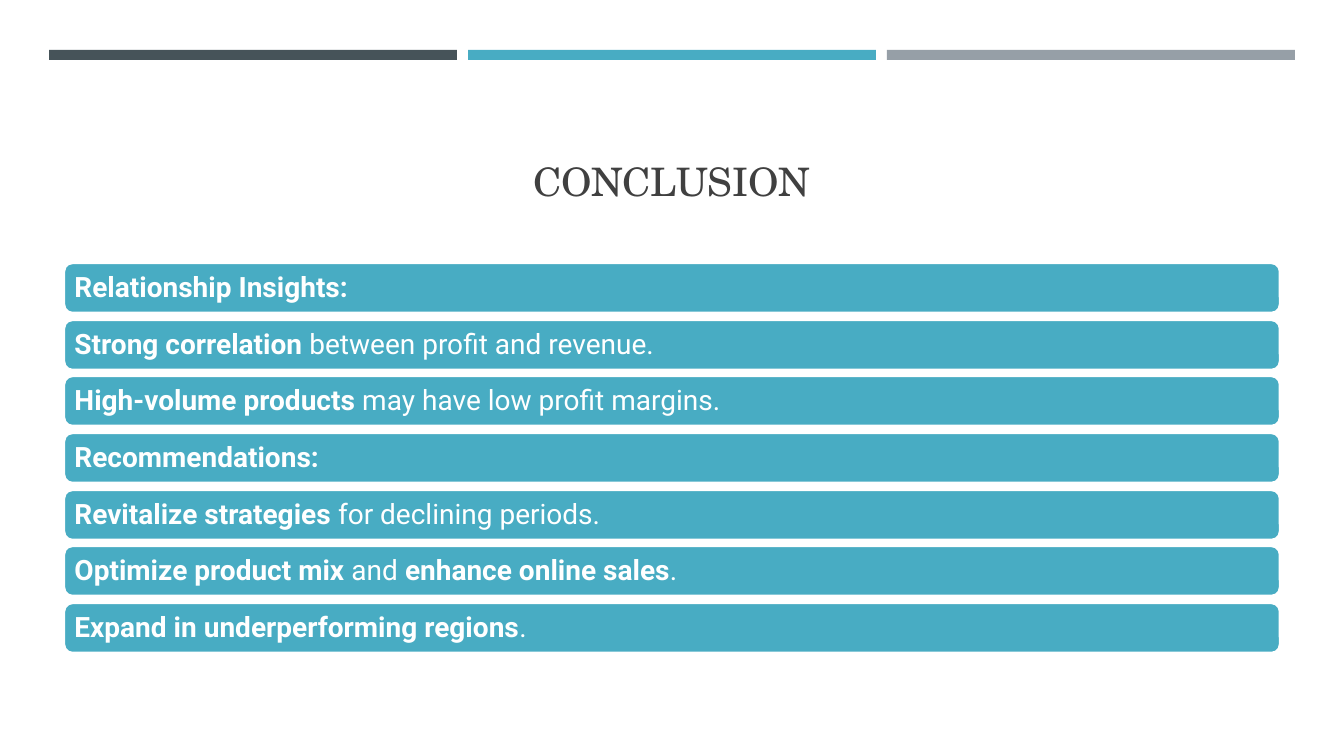
from dataclasses import dataclass

import pptx
import pptx.dml.color
import pptx.enum.shapes
import pptx.enum.text
import pptx.util

EMU_PER_PX = 914400 / 100.8
COLORS = {
    "slate": "465359",
    "teal": "48ACC3",
    "gray": "969FA7",
    "title": "404040",
    "white": "FFFFFF",
}
TITLE_FONT = "TeX Gyre Schola"
BODY_FONT = "Roboto"
SHAPES = pptx.enum.shapes.MSO_SHAPE
ANCHOR = pptx.enum.text.MSO_ANCHOR
ALIGN = pptx.enum.text.PP_ALIGN


@dataclass(frozen=True)
class Box:
    left: int
    top: int
    width: int
    height: int


@dataclass(frozen=True)
class Phrase:
    text: str
    bold: bool = False


BAR_COLORS = ["slate", "teal", "gray"]
BAR_PITCH = 419
ROWS = [
    [Phrase("Relationship Insights:", True)],
    [Phrase("Strong correlation", True), Phrase(" between profit and revenue.")],
    [Phrase("High-volume products", True), Phrase(" may have low profit margins.")],
    [Phrase("Recommendations:", True)],
    [Phrase("Revitalize strategies", True), Phrase(" for declining periods.")],
    [
        Phrase("Optimize product mix", True),
        Phrase(" and "),
        Phrase("enhance online sales", True),
        Phrase("."),
    ],
    [Phrase("Expand in underperforming regions", True), Phrase(".")],
]
FIRST_ROW_TOP = 263
LAST_ROW_TOP = 603


def px(n: int) -> int:
    return pptx.util.Emu(round(n * EMU_PER_PX))


def rgb(name: str) -> pptx.dml.color.RGBColor:
    return pptx.dml.color.RGBColor.from_string(COLORS[name])


def place(sp, box: Box) -> None:
    sp.left, sp.top = px(box.left), px(box.top)
    sp.width, sp.height = px(box.width), px(box.height)


def format_run(r, font: str, size: int, color: str, bold: bool) -> None:
    r.font.name = font
    r.font.size = pptx.util.Pt(size)
    r.font.bold = bold
    r.font.color.rgb = rgb(color)


def add_filled(slide, kind, box: Box, color: str):
    sp = slide.shapes.add_shape(
        kind, px(box.left), px(box.top), px(box.width), px(box.height)
    )
    sp.shadow.inherit = False
    sp.fill.solid()
    sp.fill.fore_color.rgb = rgb(color)
    sp.line.fill.background()
    return sp


def add_title(slide, text: str) -> None:
    title = slide.shapes.title
    place(title, Box(64, 78, 1216, 131))
    tf = title.text_frame
    tf.text = text
    tf.vertical_anchor = ANCHOR.BOTTOM
    p = tf.paragraphs[0]
    p.alignment = ALIGN.CENTER
    format_run(p.runs[0], TITLE_FONT, 28, "title", False)


def add_row(slide, top: int, phrases: list[Phrase]) -> None:
    sp = add_filled(slide, SHAPES.ROUNDED_RECTANGLE, Box(64, top, 1216, 50), "teal")
    sp.line.color.rgb = rgb("white")
    sp.line.width = pptx.util.Pt(1.75)
    tf = sp.text_frame
    tf.word_wrap = True
    tf.vertical_anchor = ANCHOR.MIDDLE
    tf.margin_left = tf.margin_right = px(8)
    tf.margin_top = tf.margin_bottom = 0
    p = tf.paragraphs[0]
    p.alignment = ALIGN.LEFT
    p.line_spacing = 0.9
    for phrase in phrases:
        r = p.add_run()
        r.text = phrase.text
        format_run(r, BODY_FONT, 20, "white", phrase.bold)


def main() -> None:
    prs = pptx.Presentation()
    prs.slide_width, prs.slide_height = px(1344), px(756)
    slide = prs.slides.add_slide(prs.slide_layouts[5])
    for i, color in enumerate(BAR_COLORS):
        add_filled(slide, SHAPES.RECTANGLE, Box(49 + i * BAR_PITCH, 50, 408, 10), color)
    add_title(slide, "CONCLUSION")
    row_pitch = (LAST_ROW_TOP - FIRST_ROW_TOP) / (len(ROWS) - 1)
    for i, phrases in enumerate(ROWS):
        add_row(slide, round(FIRST_ROW_TOP + i * row_pitch), phrases)
    prs.save("out.pptx")


if __name__ == "__main__":
    main()
